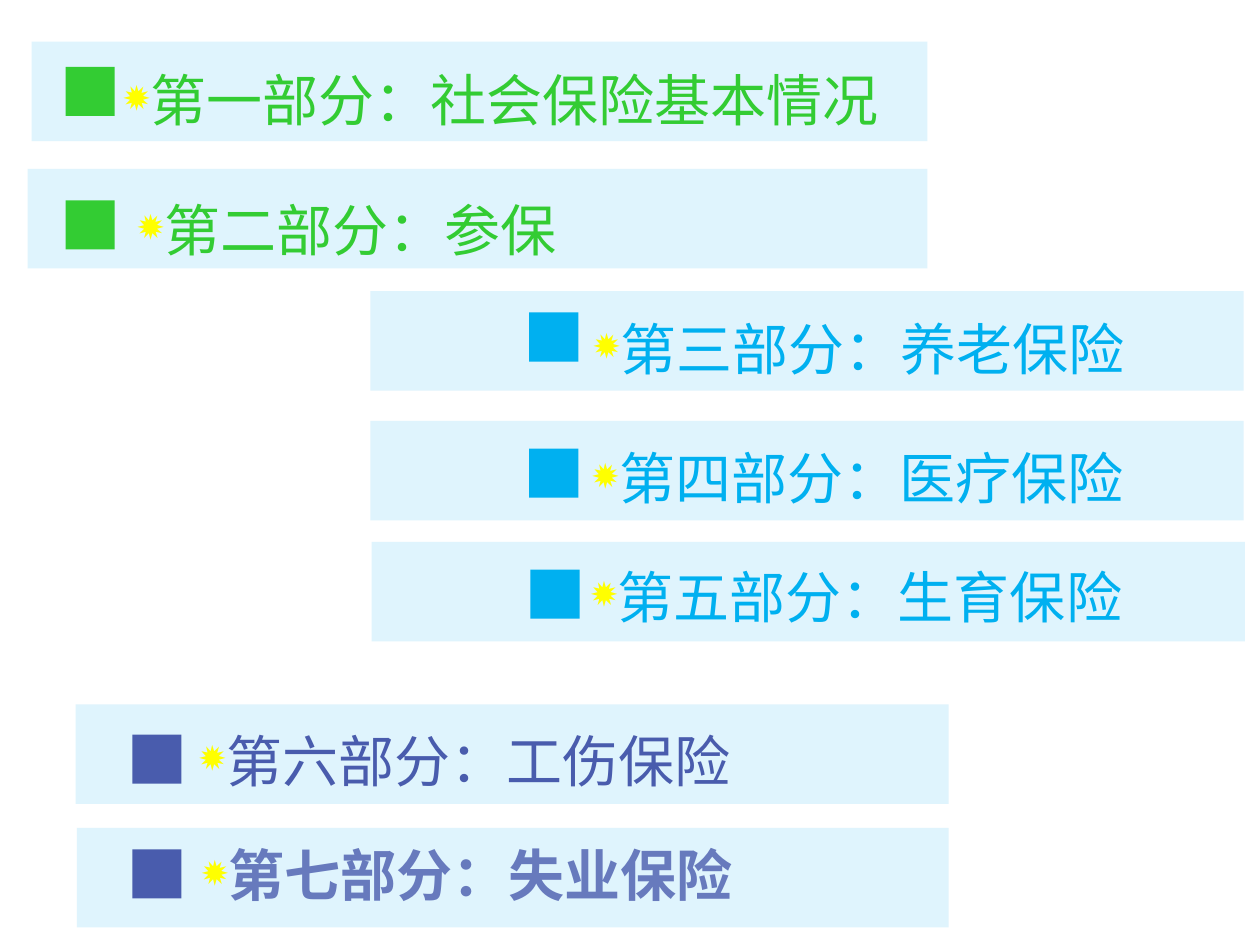
from dataclasses import dataclass

from lxml import etree
from pptx import Presentation
from pptx.dml.color import RGBColor
from pptx.enum.shapes import MSO_SHAPE
from pptx.enum.text import MSO_ANCHOR
from pptx.oxml.ns import qn
from pptx.util import Inches, Pt

RECTANGLE = MSO_SHAPE.RECTANGLE
MIDDLE = MSO_ANCHOR.MIDDLE

SLIDE_WIDTH, SLIDE_HEIGHT = Inches(10), Inches(7.5)
COLUMN, ROW = SLIDE_WIDTH / 100, SLIDE_HEIGHT / 75
BAND_ROWS, MARKER_SIZE, LABEL_ROWS = 7.9, 3.9, 10.2
FONT_NAME = "Noto Sans CJK SC"
PALE, GREEN, CYAN, INDIGO, LAVENDER, YELLOW = (
    "DFF4FD", "33CC33", "00B0F0", "495CAD", "677ABD", "FFFF00")
FRAME_FORMAT = {
    "word_wrap": True, "vertical_anchor": MIDDLE,
    "margin_left": Inches(0.11), "margin_right": Inches(0.11),
    "margin_top": Inches(0.06), "margin_bottom": Inches(0.06),
}


@dataclass
class Section:
    """One agenda entry: its band box, and marker and label offsets from it."""
    text: str
    band: tuple
    marker: tuple
    label: tuple
    label_columns: float
    marker_color: str
    text_color: str
    bold: bool = False


SECTIONS = [
    Section("第一部分：社会保险基本情况", (2.5, 3.3, 71.1), (2.7, 2), (6.2, -1.3), 64.9, GREEN, GREEN),
    Section("第二部分：参保", (2.2, 13.4, 71.4), (3, 2.5), (7.6, -1.1), 78.5, GREEN, GREEN),
    Section("第三部分：养老保险", (29.4, 23.1, 69.3), (12.6, 1.7), (16.6, -1.4), 77.2, CYAN, CYAN),
    Section("第四部分：医疗保险", (29.4, 33.4, 69.3), (12.6, 2.2), (16.5, -1.4), 77.2, CYAN, CYAN),
    Section("第五部分：生育保险", (29.5, 43, 69.3), (12.6, 2.2), (16.3, -1.6), 77.2, CYAN, CYAN),
    Section("第六部分：工伤保险", (6, 55.9, 69.3), (4.5, 2.4), (8.7, -1.5), 84.9, INDIGO, INDIGO),
    Section("第七部分：失业保险", (6.1, 65.7, 69.2), (4.4, 1.7), (8.8, -2.2), 77, INDIGO, LAVENDER, True),
]


def color(value):
    """Return the colour for a hex string."""
    return RGBColor.from_string(value)


def grid_box(left, top, columns, rows):
    """Turn grid columns and rows into slide lengths."""
    return round(left * COLUMN), round(top * ROW), round(columns * COLUMN), round(rows * ROW)


def apply_format(target, values):
    """Set each named attribute on the target."""
    for name, value in values.items():
        setattr(target, name, value)


def add_rectangle(slide, box, fill):
    """Draw a flat rectangle without an outline."""
    shape = slide.shapes.add_shape(RECTANGLE, *box)
    shape.shadow.inherit = False
    shape.fill.solid()
    shape.fill.fore_color.rgb = color(fill)
    shape.line.fill.background()


def add_bullet(paragraph):
    """Give the paragraph a small yellow star bullet."""
    properties = paragraph._p.get_or_add_pPr()
    bullet_color = etree.SubElement(properties, qn("a:buClr"))
    etree.SubElement(bullet_color, qn("a:srgbClr"), val=YELLOW)
    etree.SubElement(properties, qn("a:buSzPct"), val="80000")
    etree.SubElement(properties, qn("a:buChar"), char="✹")


def add_label(slide, box, section):
    """Write the bulleted section name in the box."""
    frame = slide.shapes.add_textbox(*box).text_frame
    apply_format(frame, FRAME_FORMAT)
    paragraph = frame.paragraphs[0]
    paragraph.line_spacing = 1.3
    add_bullet(paragraph)
    run = paragraph.add_run()
    run.text = section.text
    apply_format(run.font, {"name": FONT_NAME, "size": Pt(32), "bold": section.bold})
    run.font.color.rgb = color(section.text_color)
    etree.SubElement(run.font._element, qn("a:ea"), typeface=FONT_NAME)


def add_section(slide, section):
    """Place the band, square marker and label of one section."""
    left, top, columns = section.band
    marker_left, marker_top = section.marker
    label_left, label_top = section.label
    add_rectangle(slide, grid_box(left, top, columns, BAND_ROWS), PALE)
    add_rectangle(slide, grid_box(left + marker_left, top + marker_top, MARKER_SIZE, MARKER_SIZE),
                  section.marker_color)
    add_label(slide, grid_box(left + label_left, top + label_top, section.label_columns, LABEL_ROWS),
              section)


def main():
    """Build the agenda slide and save it."""
    presentation = Presentation()
    apply_format(presentation, {"slide_width": SLIDE_WIDTH, "slide_height": SLIDE_HEIGHT})
    slide = presentation.slides.add_slide(presentation.slide_layouts.get_by_name("Blank"))
    for section in SECTIONS:
        add_section(slide, section)
    presentation.save("out.pptx")


if __name__ == "__main__":
    main()
